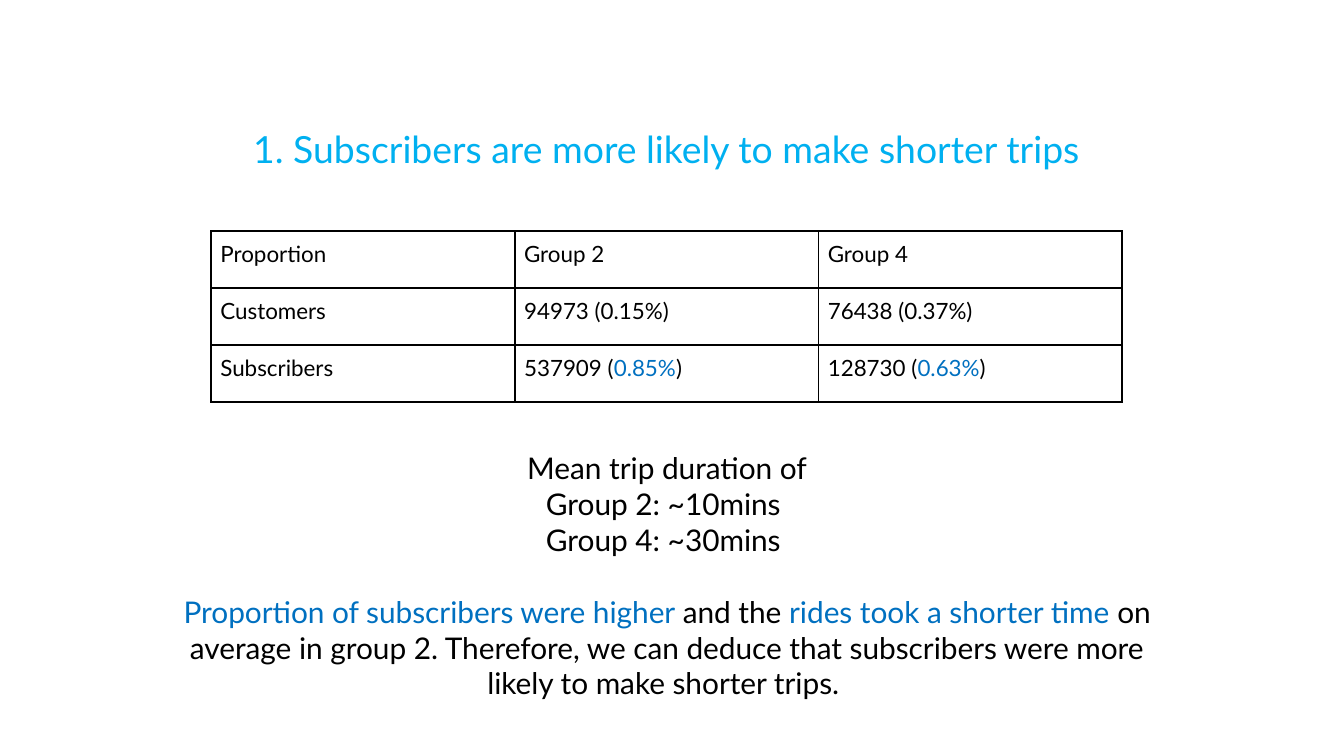
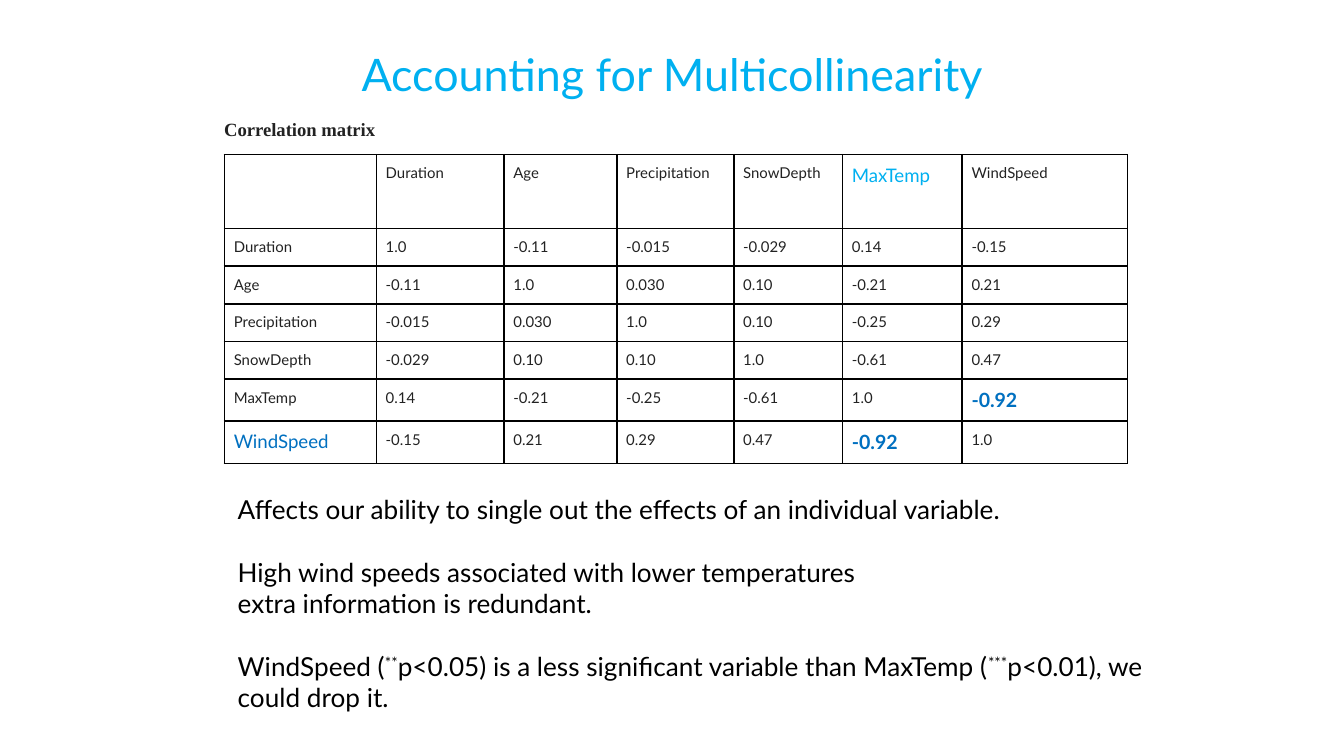
from dataclasses import dataclass, replace

from lxml.etree import SubElement
from pptx import Presentation
from pptx.dml.color import RGBColor
from pptx.enum.text import MSO_ANCHOR, PP_ALIGN
from pptx.oxml.ns import qn
from pptx.util import Inches, Pt

BLACK = RGBColor(0x00, 0x00, 0x00)
INK = RGBColor(0x22, 0x22, 0x22)
SKY = RGBColor(0x00, 0xB0, 0xF0)
BLUE = RGBColor(0x00, 0x70, 0xC0)


@dataclass(frozen=True)
class Style:
    """Look of one run of text."""
    size: float
    color: RGBColor = BLACK
    font: str = "Lato"
    bold: bool = False
    raised: bool = False


SHARE = Style(12)
SHARE_KEY = replace(SHARE, color=BLUE)
FINDING = Style(16)
FINDING_KEY = replace(FINDING, color=BLUE)
MATRIX = Style(8, INK)
STRONG = Style(10.5, BLUE, bold=True)
REMARK = Style(14)
STARS = replace(REMARK, raised=True)
CAPTION = Style(10, INK, "Times New Roman", bold=True)

VARIABLES = ["Duration", "Age", "Precipitation", "SnowDepth", "MaxTemp", "WindSpeed"]
CORRELATIONS = [
    ["1.0"],
    ["-0.11", "1.0"],
    ["-0.015", "0.030", "1.0"],
    ["-0.029", "0.10", "0.10", "1.0"],
    ["0.14", "-0.21", "-0.25", "-0.61", "1.0"],
    ["-0.15", "0.21", "0.29", "0.47", "-0.92", "1.0"],
]
MATRIX_STYLES = {
    (0, 5): Style(10, SKY),
    (6, 0): Style(10, BLUE),
    (5, 6): STRONG,
    (6, 5): STRONG,
}


def add_spans(para, spans):
    """Write (text, style) pairs into a paragraph, run by run."""
    for text, style in spans:
        span = para.add_run()
        span.text = text
        span.font.size = Pt(style.size)
        span.font.name = style.font
        span.font.bold = style.bold
        span.font.color.rgb = style.color
        if style.raised:
            span._r.get_or_add_rPr().set("baseline", "30000")


def add_text(page, place, paras, align=PP_ALIGN.LEFT, inset=0.05, anchor=MSO_ANCHOR.TOP, spacing=None):
    """Add a wrapped box of (space before, spans) paragraphs."""
    box = page.shapes.add_textbox(*map(Inches, place))
    frame = box.text_frame
    frame.word_wrap = True
    frame.vertical_anchor = anchor
    frame.margin_left = frame.margin_right = Inches(0.1)
    frame.margin_top = frame.margin_bottom = Inches(inset)
    for index, (before, spans) in enumerate(paras):
        para = frame.add_paragraph() if index else frame.paragraphs[0]
        para.alignment = align
        if before:
            para.space_before = Pt(before)
        if spacing:
            para.line_spacing = spacing
        add_spans(para, spans)


def add_title(page, left, top, text, size, spacing=None):
    """Add the centred sky blue title."""
    add_text(page, (left, top, 9.32, 0.63), [(0, [(text, Style(size, SKY))])],
             PP_ALIGN.CENTER, 0.1, spacing=spacing)


def style_cell(cell):
    """Give a cell thin black borders, no fill and even margins."""
    cell.fill.background()
    cell.margin_left = cell.margin_right = Inches(0.07)
    cell.margin_top = cell.margin_bottom = Inches(0.07)
    properties = cell._tc.get_or_add_tcPr()
    for index, side in enumerate(("a:lnL", "a:lnR", "a:lnT", "a:lnB")):
        line = SubElement(properties, qn(side), w=str(Pt(1)))
        fill = SubElement(line, qn("a:solidFill"))
        SubElement(fill, qn("a:srgbClr"), val=str(BLACK))
        properties.insert(index, line)


def add_grid(page, left, top, widths, heights, rows):
    """Add a bordered table whose cells are lists of spans."""
    frame = page.shapes.add_table(len(heights), len(widths), Inches(left), Inches(top),
                                  Inches(sum(widths)), Inches(sum(heights)))
    table = frame.table
    table.first_row = table.horz_banding = False
    for column, width in zip(table.columns, widths):
        column.width = Inches(width)
    for row, height, contents in zip(table.rows, heights, rows):
        row.height = Inches(height)
        for cell, spans in zip(row.cells, contents):
            style_cell(cell)
            add_spans(cell.text_frame.paragraphs[0], spans)


def share_rows():
    """Return the cells of the customer and subscriber table."""
    plain = [["Proportion", "Group 2", "Group 4"],
             ["Customers", "94973 (0.15%)", "76438 (0.37%)"]]
    rows = [[[(text, SHARE)] for text in row] for row in plain]
    subscribers = [[("Subscribers", SHARE)]]
    for count, share in (("537909", "0.85%"), ("128730", "0.63%")):
        subscribers.append([(f"{count} (", SHARE), (share, SHARE_KEY), (")", SHARE)])
    return rows + [subscribers]


def matrix_rows():
    """Return the correlation cells, mirrored from the lower triangle."""
    texts = [[""] + VARIABLES]
    for row, name in enumerate(VARIABLES):
        texts.append([name] + [CORRELATIONS[max(row, column)][min(row, column)]
                               for column in range(len(VARIABLES))])
    return [[[(text, MATRIX_STYLES.get((row, column), MATRIX))] if text else []
             for column, text in enumerate(line)]
            for row, line in enumerate(texts)]


def build_trips(page):
    """Build the slide on subscribers and trip length."""
    add_title(page, 0.3, 0.79, "1. Subscribers are more likely to make shorter trips", 20, 1.15)
    add_grid(page, 1.57, 1.72, [2.26] * 3, [1.27 / 3] * 3, share_rows())
    add_text(page, (1.15, 3.3, 7.63, 2.22), [
        (0, [("Mean trip duration of", FINDING)]),
        (0, [("Group 2: ~10mins ", FINDING)]),
        (0, [("Group 4: ~30mins ", FINDING)]),
        (19.2, [
            ("Proportion of subscribers were higher ", FINDING_KEY),
            ("and the ", FINDING),
            ("rides took a shorter time ", FINDING_KEY),
            ("on average in group 2. Therefore, we can deduce that subscribers were more "
             "likely to make shorter trips. ", FINDING),
        ]),
    ], PP_ALIGN.CENTER)


def build_collinearity(page):
    """Build the slide with the correlation matrix."""
    add_grid(page, 1.67, 1.15, [1.13, 0.95, 0.84, 0.87, 0.81, 0.89, 1.23],
             [0.55] + [0.28] * 4 + [0.31] * 2, matrix_rows())
    add_text(page, (1.57, 0.82, 3, 0.28), [(0, [("Correlation matrix", CAPTION)])],
             anchor=MSO_ANCHOR.MIDDLE)
    add_title(page, 0.34, 0.25, "Accounting for Multicollinearity", 24)
    add_text(page, (1.67, 3.62, 7.02, 1.95), [
        (0, [("Affects our ability to single out the effects of an individual variable.", REMARK)]),
        (16.8, [("High wind speeds associated with lower temperatures", REMARK)]),
        (0, [("extra information is redundant.", REMARK)]),
        (16.8, [
            ("WindSpeed (", REMARK),
            ("**", STARS),
            ("p<0.05) is a less significant variable than MaxTemp (", REMARK),
            ("***", STARS),
            ("p<0.01), we could drop it.", REMARK),
        ]),
    ])


def main():
    """Build and save the deck."""
    deck = Presentation()
    deck.slide_width, deck.slide_height = Inches(10), Inches(10 * 9 / 16)
    for build in (build_trips, build_collinearity):
        build(deck.slides.add_slide(deck.slide_layouts[6]))
    deck.save("out.pptx")


if __name__ == "__main__":
    main()
